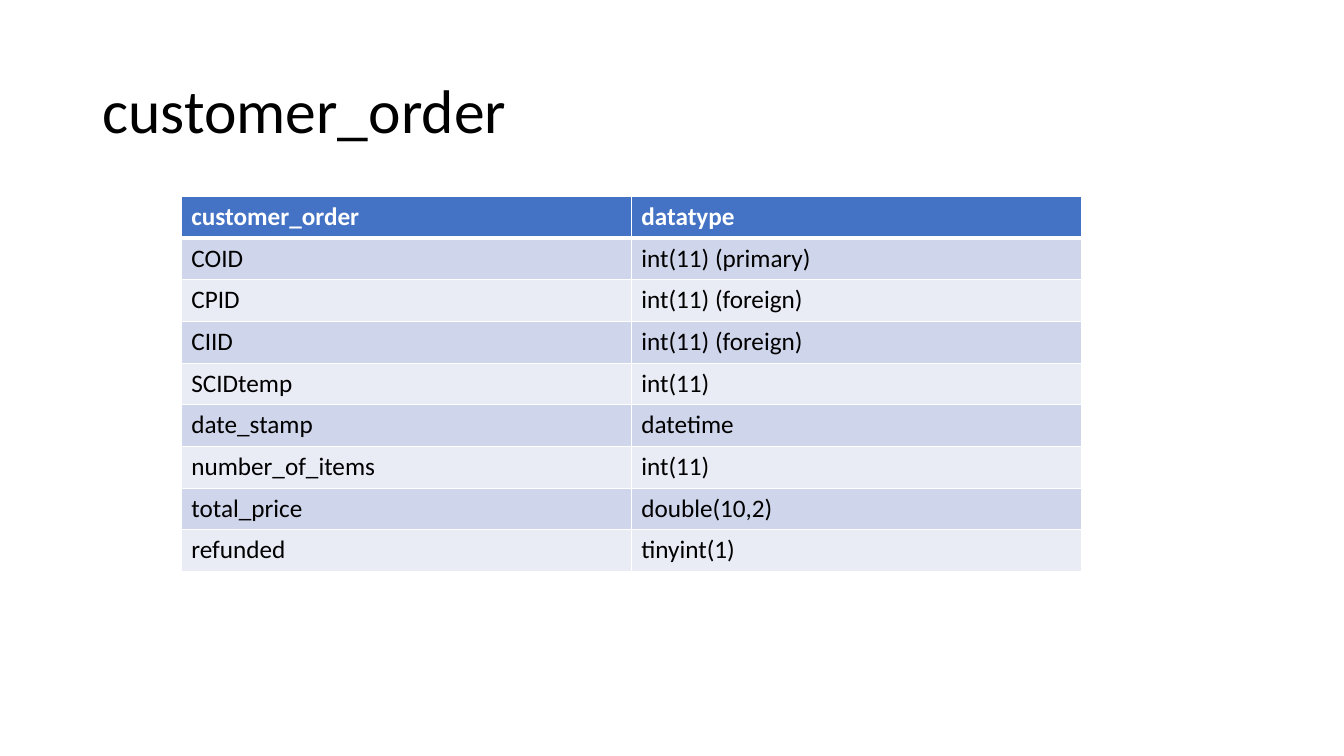
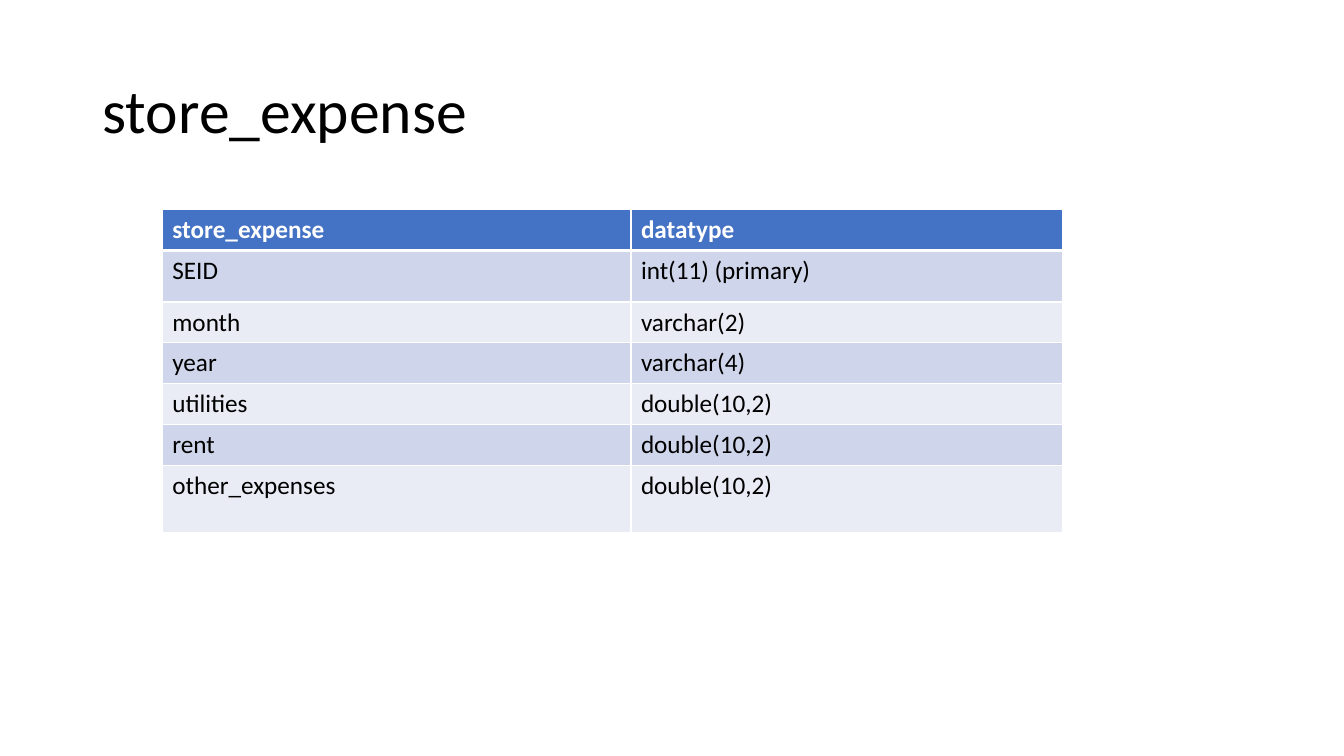
from lxml import etree
from pptx import Presentation
from pptx.dml.color import RGBColor
from pptx.enum.text import MSO_ANCHOR, PP_ALIGN
from pptx.oxml.ns import qn
from pptx.util import Cm, Pt

LEFT = PP_ALIGN.LEFT
MIDDLE = MSO_ANCHOR.MIDDLE
TITLE_ONLY = 5
FONT = "Calibri"
COLORS = {
    "header": "4472C4",
    "band_dark": "CFD5EA",
    "band_light": "E9EBF5",
    "border": "FFFFFF",
    "header_text": "FFFFFF",
    "text": "000000",
}

ORDER_ROWS = [
    ("customer_order", "datatype"),
    ("COID", "int(11) (primary)"),
    ("CPID", "int(11) (foreign)"),
    ("CIID", "int(11) (foreign)"),
    ("SCIDtemp", "int(11)"),
    ("date_stamp", "datetime"),
    ("number_of_items", "int(11)"),
    ("total_price", "double(10,2)"),
    ("refunded", "tinyint(1)"),
]
EXPENSE_ROWS = [
    ("store_expense", "datatype"),
    ("SEID", "int(11) (primary)"),
    ("month", "varchar(2)"),
    ("year", "varchar(4)"),
    ("utilities", "double(10,2)"),
    ("rent", "double(10,2)"),
    ("other_expenses", "double(10,2)"),
]


def rgb(name):
    return RGBColor.from_string(COLORS[name])


def write(tf, text, size=18, color="text", bold=False, spacing=None):
    p = tf.paragraphs[0]
    p.alignment = LEFT
    p.line_spacing = spacing
    r = p.add_run()
    r.text = text
    r.font.name = FONT
    r.font.size = Pt(size)
    r.font.bold = bold
    r.font.color.rgb = rgb(color)


def set_borders(cell, top=1, bottom=1):
    tc_pr = cell._tc.get_or_add_tcPr()
    for side, width in (("L", 1), ("R", 1), ("T", top), ("B", bottom)):
        ln = etree.SubElement(tc_pr, qn(f"a:ln{side}"), w=str(Pt(width)))
        fill = etree.SubElement(ln, qn("a:solidFill"))
        etree.SubElement(fill, qn("a:srgbClr"), val=COLORS["border"])


def add_title_slide(prs, title):
    s = prs.slides.add_slide(prs.slide_layouts[TITLE_ONLY])
    sp = s.shapes.title
    sp.left, sp.top, sp.width, sp.height = Cm(2.33), Cm(1.01), Cm(29.21), Cm(3.68)
    sp.text_frame.vertical_anchor = MIDDLE
    write(sp.text_frame, title, size=44, spacing=0.9)
    return s


def add_schema_table(s, rows, left, top, widths, heights):
    frame = s.shapes.add_table(len(rows), len(widths), Cm(left), Cm(top),
                               Cm(sum(widths)), Cm(sum(heights)))
    table = frame.table
    for column, width in zip(table.columns, widths):
        column.width = Cm(width)
    for i, (values, height) in enumerate(zip(rows, heights)):
        table.rows[i].height = Cm(height)
        header = i == 0
        band = "header" if header else "band_dark" if i % 2 else "band_light"
        for j, value in enumerate(values):
            cell = table.cell(i, j)
            set_borders(cell, top=3 if i == 1 else 1, bottom=3 if header else 1)
            cell.fill.solid()
            cell.fill.fore_color.rgb = rgb(band)
            write(cell.text_frame, value, bold=header,
                  color="header_text" if header else "text")


def main():
    prs = Presentation()
    prs.slide_width, prs.slide_height = Cm(33.87), Cm(19.05)

    s = add_title_slide(prs, "customer_order")
    add_schema_table(s, ORDER_ROWS, 4.57, 4.95, [11.34] * 2,
                     [1.05] * len(ORDER_ROWS))

    s = add_title_slide(prs, "store_expense")
    add_schema_table(s, EXPENSE_ROWS, 4.09, 5.28, [11.81, 10.87],
                     [1.02, 1.3] + [1.03] * 4 + [1.7])

    prs.save("out.pptx")


main()
